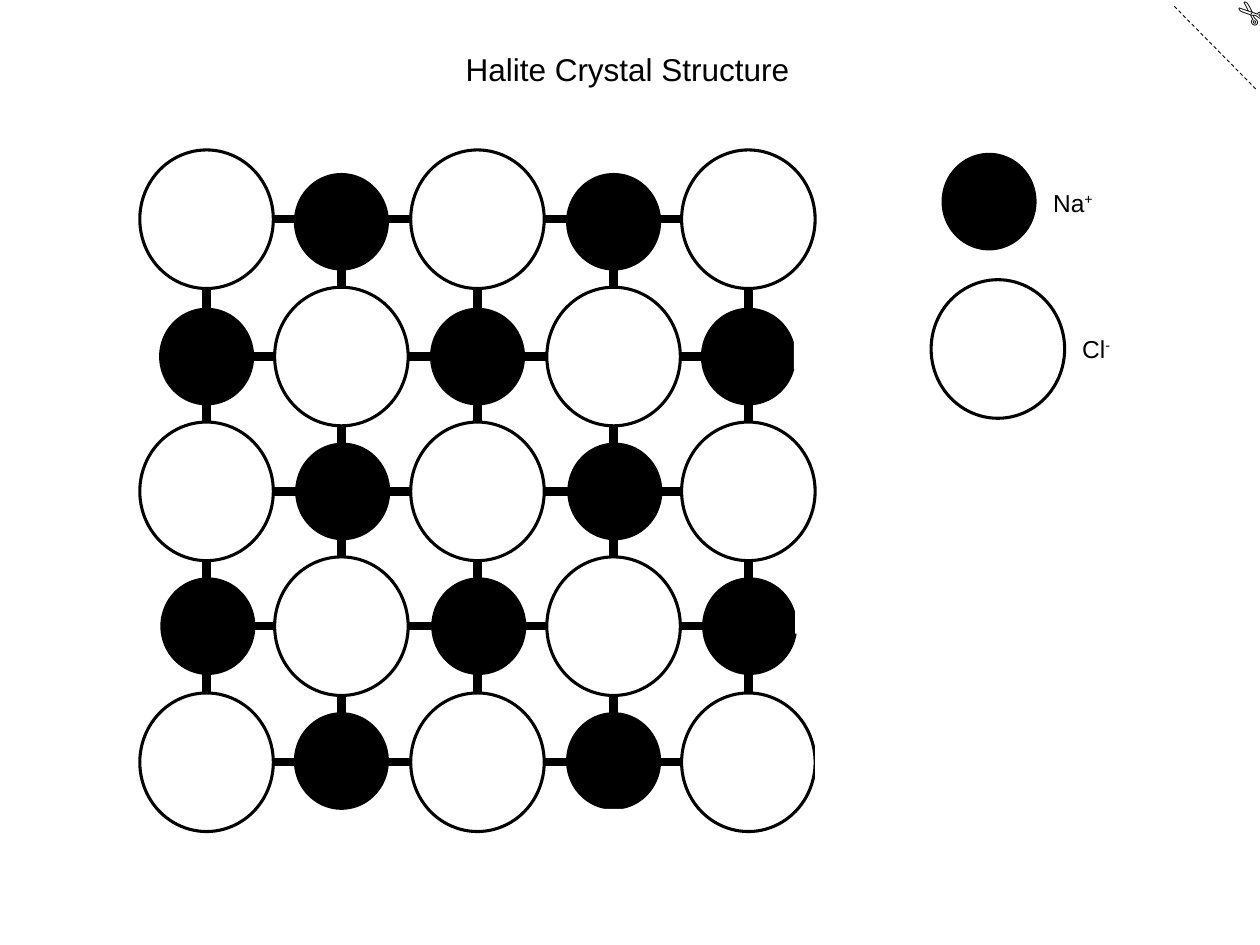
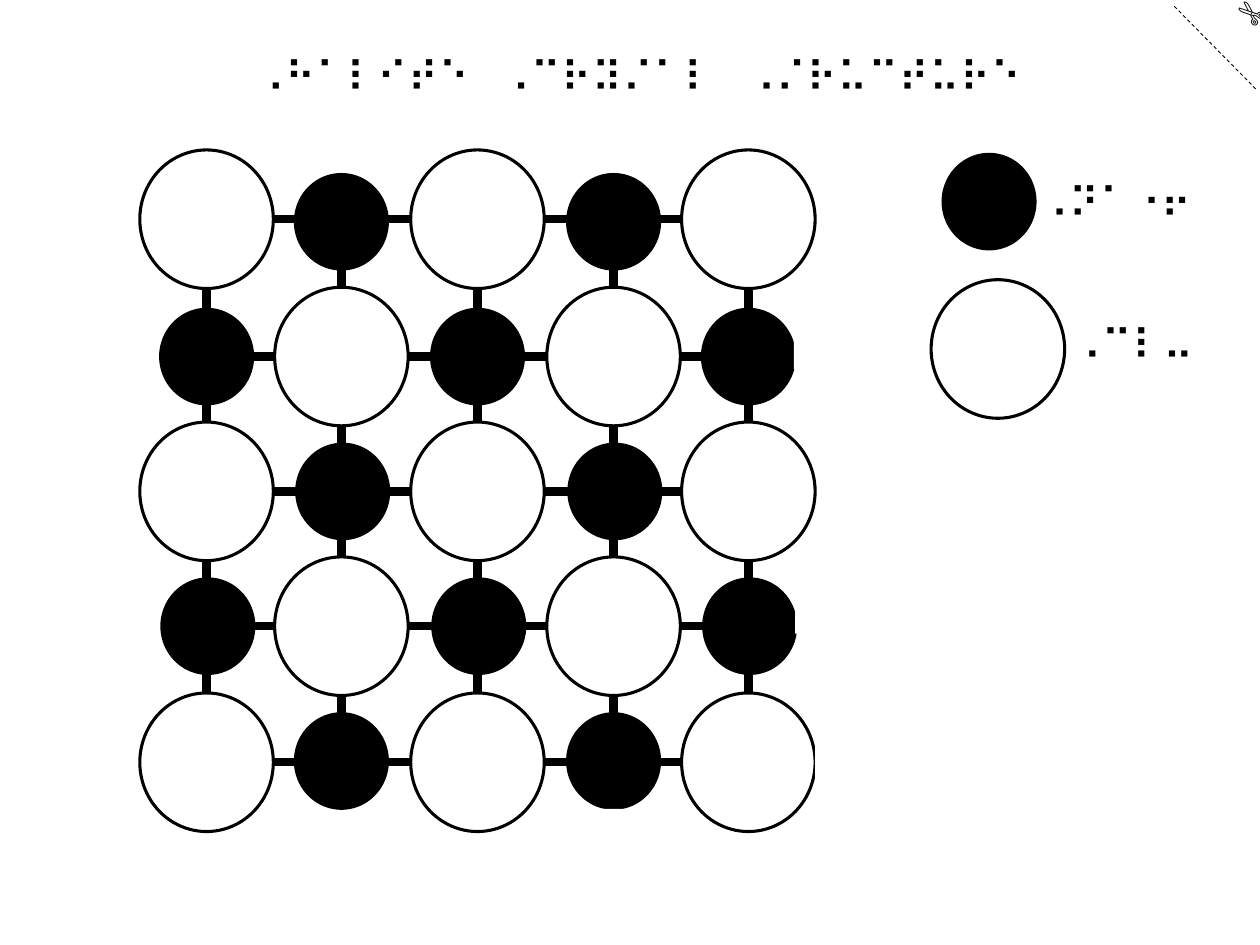
from pptx import Presentation
from pptx.dml.color import RGBColor
from pptx.enum.dml import MSO_LINE
from pptx.enum.shapes import MSO_CONNECTOR, MSO_SHAPE
from pptx.enum.text import MSO_ANCHOR, MSO_AUTO_SIZE, PP_ALIGN
from pptx.oxml.ns import qn
from pptx.util import Inches, Pt
from lxml.etree import SubElement

BLACK, WHITE = "000000", "FFFFFF"

PAGES = [
    {
        "title": ("Halite Crystal Structure", (3.13, 0.35, 3.7, 0.4)),
        "labels": [("Na", "+", (8.26, 1.44, 0.53, 0.34)),
                   ("Cl", "-", (8.49, 2.6, 0.43, 0.34))],
        "font": "Arial", "title_size": 18, "label_size": 14,
        "scissors_font": "Arial",
    },
    {
        "title": ("⠠⠓⠁⠇⠊⠞⠑⠀⠠⠉⠗⠽⠌⠁⠇⠀⠠⠌⠗⠥⠉⠞⠥⠗⠑", (1.71, 0.35, 6.7, 0.5)),
        "labels": [("⠠⠝⠁⠐⠖", "", (8.14, 1.35, 1.42, 0.5)),
                   ("⠠⠉⠇⠤", "", (8.4, 2.48, 1.18, 0.5))],
        "font": "Lato", "title_size": 24, "label_size": 24,
        "scissors_font": "Calibri",
    },
]

SODIUM = (0.73, 0.75, BLACK)
CHLORIDE = (1.06, 1.1, WHITE)
LEGEND_CENTRES = [(CHLORIDE, 7.92, 2.77), (SODIUM, 7.85, 1.6)]

COLUMNS = [1.64, 2.71, 3.79, 4.87, 5.94]
ROWS = [1.74, 2.83, 3.9, 4.97, 6.05]
SODIUM_SHIFTS = [(0, 0.02), (0, 0), (0.01, 0), (0.01, 0), (0, -0.01)]
EDGE_TRIMS = [
    (6.49, 1.66, 0.14, 0.25),
    (6.3, 2.63, 0.31, 0.3),
    (6.49, 3.74, 0.31, 0.3),
    (6.31, 4.73, 0.31, 0.3),
    (6.47, 5.92, 0.31, 0.3),
    (4.71, 6.42, 0.31, 0.3),
    (2.64, 6.43, 0.31, 0.3),
]


def colour(hex_value):
    return RGBColor.from_string(hex_value)


def add_line(shapes, start, end, width, dash=None):
    line = shapes.add_connector(MSO_CONNECTOR.STRAIGHT,
                                *(Inches(v) for v in (*start, *end)))
    line.line.color.rgb = colour(BLACK)
    line.line.width = Pt(width)
    if dash:
        line.line.dash_style = dash
    SubElement(line._element.spPr, qn("a:effectLst"))


def add_filled(shapes, kind, place, fill):
    filled = shapes.add_shape(kind, *(Inches(v) for v in place))
    filled.shadow.inherit = False
    filled.fill.solid()
    filled.fill.fore_color.rgb = colour(fill)
    return filled


def add_ion(shapes, ion, centre_x, centre_y):
    width, height, fill = ion
    place = (centre_x - width / 2, centre_y - height / 2, width, height)
    circle = add_filled(shapes, MSO_SHAPE.OVAL, place, fill)
    circle.line.color.rgb = colour(BLACK)
    circle.line.width = Pt(1.75)


def add_lattice(slide):
    lattice = slide.shapes.add_group_shape().shapes
    for y in ROWS:
        add_line(lattice, (COLUMNS[0], y), (COLUMNS[-1], y), 4.75)
    for x in COLUMNS:
        add_line(lattice, (x, ROWS[0]), (x, ROWS[-1]), 4.75)
    for row, (y, (shift_x, shift_y)) in enumerate(zip(ROWS, SODIUM_SHIFTS)):
        for column, x in enumerate(COLUMNS):
            if (row + column) % 2:
                add_ion(lattice, SODIUM, x + shift_x, y + shift_y)
            else:
                add_ion(lattice, CHLORIDE, x, y)
    for place in EDGE_TRIMS:
        add_filled(lattice, MSO_SHAPE.RECTANGLE, place, WHITE).line.fill.background()


def write(box, text, font, size, wrap=True, align=PP_ALIGN.LEFT):
    frame = box.text_frame
    frame.word_wrap = wrap
    frame.auto_size = MSO_AUTO_SIZE.SHAPE_TO_FIT_TEXT
    frame.vertical_anchor = MSO_ANCHOR.TOP
    paragraph = frame.paragraphs[0]
    paragraph.text = text
    paragraph.alignment = align
    paragraph.font.name = font
    paragraph.font.size = Pt(size)
    paragraph.font.color.rgb = colour(BLACK)
    return paragraph


def add_text(slide, text, place, font, size, wrap=True):
    box = slide.shapes.add_textbox(*(Inches(v) for v in place))
    return box, write(box, text, font, size, wrap)


def add_title(slide, page):
    text, place = page["title"]
    title = slide.shapes.title
    title.left, title.top, title.width, title.height = (Inches(v) for v in place)
    write(title, text, page["font"], page["title_size"], align=PP_ALIGN.CENTER)


def add_cut_corner(slide, font):
    add_line(slide.shapes, (9.32, 0.05), (9.98, 0.72), 0.5, MSO_LINE.DASH)
    scissors, _ = add_text(slide, "✄", (9.71, -0.09, 0.42, 0.4), font, 18)
    scissors.rotation = 220.5


def add_legend(slide, page):
    for ion, x, y in LEGEND_CENTRES:
        add_ion(slide.shapes, ion, x, y)
    for symbol, charge, place in page["labels"]:
        _, label = add_text(slide, symbol, place, page["font"], page["label_size"], wrap=False)
        if charge:
            superscript = label.add_run()
            superscript.text = charge
            superscript._r.get_or_add_rPr().set("baseline", "30000")


def main():
    deck = Presentation()
    deck.slide_width, deck.slide_height = Inches(10), Inches(7.5)
    for page in PAGES:
        slide = deck.slides.add_slide(deck.slide_layouts[5])
        add_title(slide, page)
        add_cut_corner(slide, page["scissors_font"])
        add_lattice(slide)
        add_legend(slide, page)
    deck.save("out.pptx")


if __name__ == "__main__":
    main()
